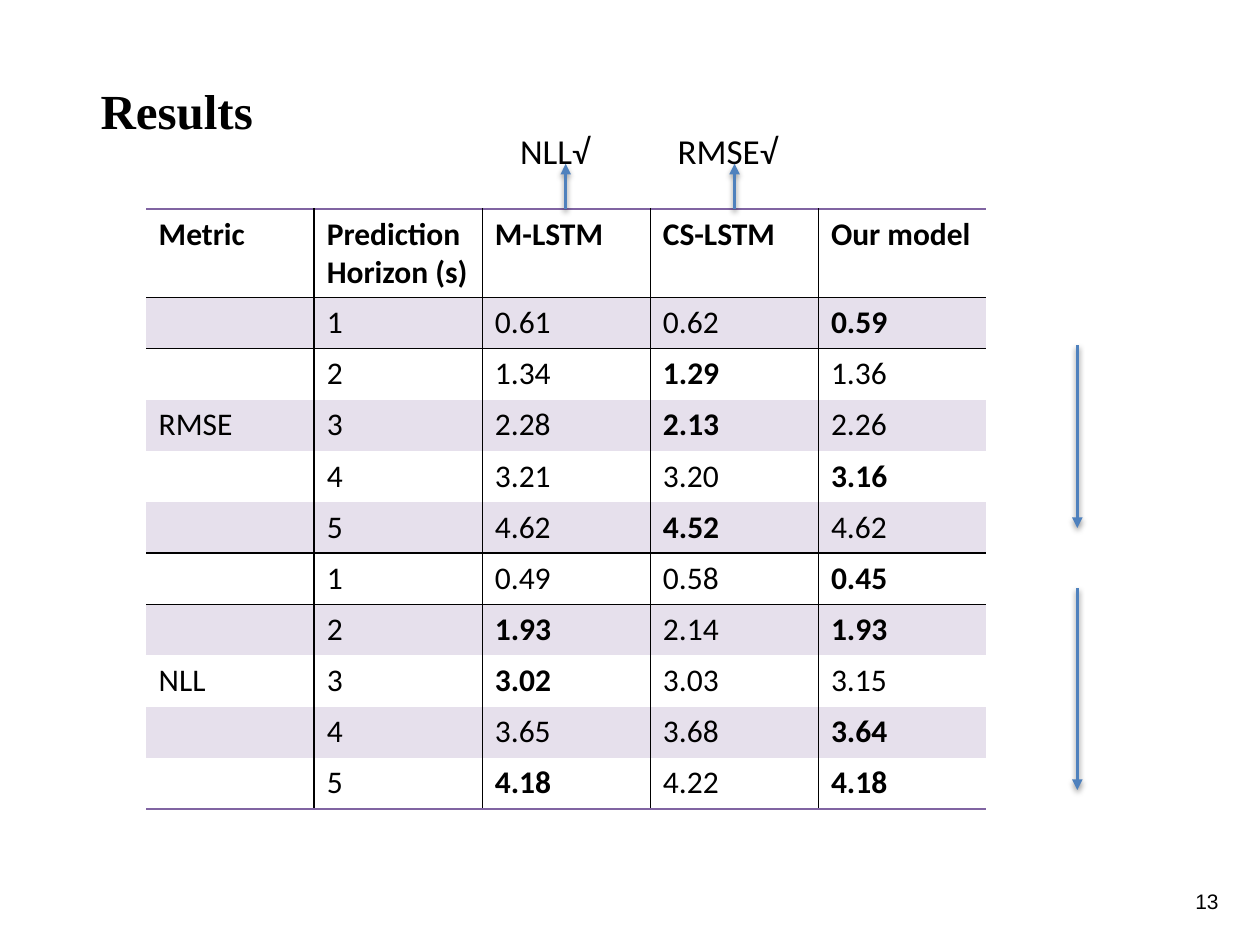
"""Build the results slide comparing prediction errors of three models."""
from lxml import etree
from pptx import Presentation
from pptx.dml.color import RGBColor
from pptx.enum.shapes import MSO_CONNECTOR
from pptx.enum.text import MSO_ANCHOR, PP_ALIGN
from pptx.oxml import parse_xml
from pptx.oxml.ns import qn
from pptx.util import Inches, Pt

STRAIGHT = MSO_CONNECTOR.STRAIGHT
LEFT, RIGHT = PP_ALIGN.LEFT, PP_ALIGN.RIGHT
TOP, MIDDLE = MSO_ANCHOR.TOP, MSO_ANCHOR.MIDDLE
DRAWING_NS = "http://schemas.openxmlformats.org/drawingml/2006/main"
PLAIN_TABLE_STYLE = "{2D5ABB26-0587-4C30-8999-92F81FD0307C}"

THEME = {
    "ink": "000000",
    "rule": "8064A2",
    "band": "E6E0EC",
    "arrow": "4F81BD",
    "title": {"name": "Times New Roman", "size": Pt(28), "bold": True},
    "label": {"name": "Calibri", "size": Pt(20), "bold": False},
    "number": {"name": "Arial", "size": Pt(12), "bold": False},
    "body": {"name": "Calibri", "size": Pt(18), "bold": False},
    "header": {"name": "Calibri", "size": Pt(18), "bold": True},
}


def write(frame, text, style, align=LEFT):
    frame.text = text
    for paragraph in frame.paragraphs:
        paragraph.alignment = align
        for attribute, value in THEME[style].items():
            setattr(paragraph.font, attribute, value)
            for run in paragraph.runs:
                setattr(run.font, attribute, value)
        for run in paragraph.runs:
            run.font.color.rgb = RGBColor.from_string(THEME["ink"])


def add_border(cell, side, color):
    cell._tc.get_or_add_tcPr().append(parse_xml(
        f'<a:{side} xmlns:a="{DRAWING_NS}" w="12700"><a:solidFill>'
        f'<a:srgbClr val="{color}"/></a:solidFill></a:{side}>'))


prs = Presentation()
prs.slide_width, prs.slide_height = Inches(10), Inches(7.5)
slide = prs.slides.add_slide(prs.slide_layouts[6])

texts = [
    ("13", "number", (9.12, 6.95, 0.65, 0.4), RIGHT, MIDDLE),
    ("Results", "title", (0.7, 0.59, 7.81, 0.57), LEFT, TOP),
    ("NLL√", "label", (4.03, 0.98, 0.93, 0.44), LEFT, TOP),
    ("RMSE√", "label", (5.28, 0.98, 1.14, 0.44), LEFT, TOP),
]
for text, style, place, align, anchor in texts:
    frame = slide.shapes.add_textbox(*map(Inches, place)).text_frame
    frame.word_wrap = True
    frame.vertical_anchor = anchor
    write(frame, text, style, align)

headers = ["Metric", "Prediction\nHorizon (s)", "M-LSTM", "CS-LSTM", "Our model"]
scores = {
    "RMSE": [("0.61", "0.62", "0.59"), ("1.34", "1.29", "1.36"),
             ("2.28", "2.13", "2.26"), ("3.21", "3.20", "3.16"),
             ("4.62", "4.52", "4.62")],
    "NLL": [("0.49", "0.58", "0.45"), ("1.93", "2.14", "1.93"),
            ("3.02", "3.03", "3.15"), ("3.65", "3.68", "3.64"),
            ("4.18", "4.22", "4.18")],
}
rows = [[(header, "header") for header in headers]]
for metric, horizons in scores.items():
    for horizon, values in enumerate(horizons, 1):
        best = min(values, key=float)
        rows.append([(metric if horizon == 3 else "", "body"), (str(horizon), "body")]
                    + [(value, "header" if value == best else "body") for value in values])

table_left, table_top, table_width, table_height = 1.16, 1.66, 6.67, 4.76
header_height = 0.7
last_row, last_column = len(rows) - 1, len(headers) - 1
results = slide.shapes.add_table(
    len(rows), len(headers), Inches(table_left), Inches(table_top),
    Inches(table_width), Inches(table_height)).table
results.first_row = results.horz_banding = False
results._tbl.tblPr.find(qn("a:tableStyleId")).text = PLAIN_TABLE_STYLE
for column in results.columns:
    column.width = Inches(table_width / len(headers))

row_rules = {0: THEME["ink"], 5: THEME["ink"], last_row: THEME["rule"]}
for r, row in enumerate(rows):
    results.rows[r].height = Inches(
        (table_height - header_height) / last_row if r else header_height)
    for c, (text, style) in enumerate(row):
        cell = results.cell(r, c)
        write(cell.text_frame, text, style)
        borders = {
            "lnL": THEME["ink"] if c else None,
            "lnR": THEME["ink"] if c < last_column else None,
            "lnT": row_rules.get(r - 1) if r else THEME["rule"],
            "lnB": row_rules.get(r),
        }
        for side, color in borders.items():
            if color:
                add_border(cell, side, color)
        if r % 2:
            cell.fill.solid()
            cell.fill.fore_color.rgb = RGBColor.from_string(THEME["band"])
        else:
            cell.fill.background()

arrows = [(8.55, 2.74, 4.19), (8.55, 4.67, 6.27),
          (4.49, table_top, 1.3), (5.83, table_top, 1.3)]
for x, start, end in arrows:
    arrow = slide.shapes.add_connector(
        STRAIGHT, Inches(x), Inches(start), Inches(x), Inches(end))
    arrow.line.width = Pt(2)
    arrow.line.color.rgb = RGBColor.from_string(THEME["arrow"])
    etree.SubElement(arrow.line._get_or_add_ln(), qn("a:tailEnd"), type="triangle")
    arrow._element.spPr.append(parse_xml(
        f'<a:effectLst xmlns:a="{DRAWING_NS}"><a:outerShdw blurRad="40000" dist="20000" '
        f'dir="5400000" rotWithShape="0"><a:srgbClr val="{THEME["ink"]}">'
        '<a:alpha val="38000"/></a:srgbClr></a:outerShdw></a:effectLst>'))

prs.save("out.pptx")
